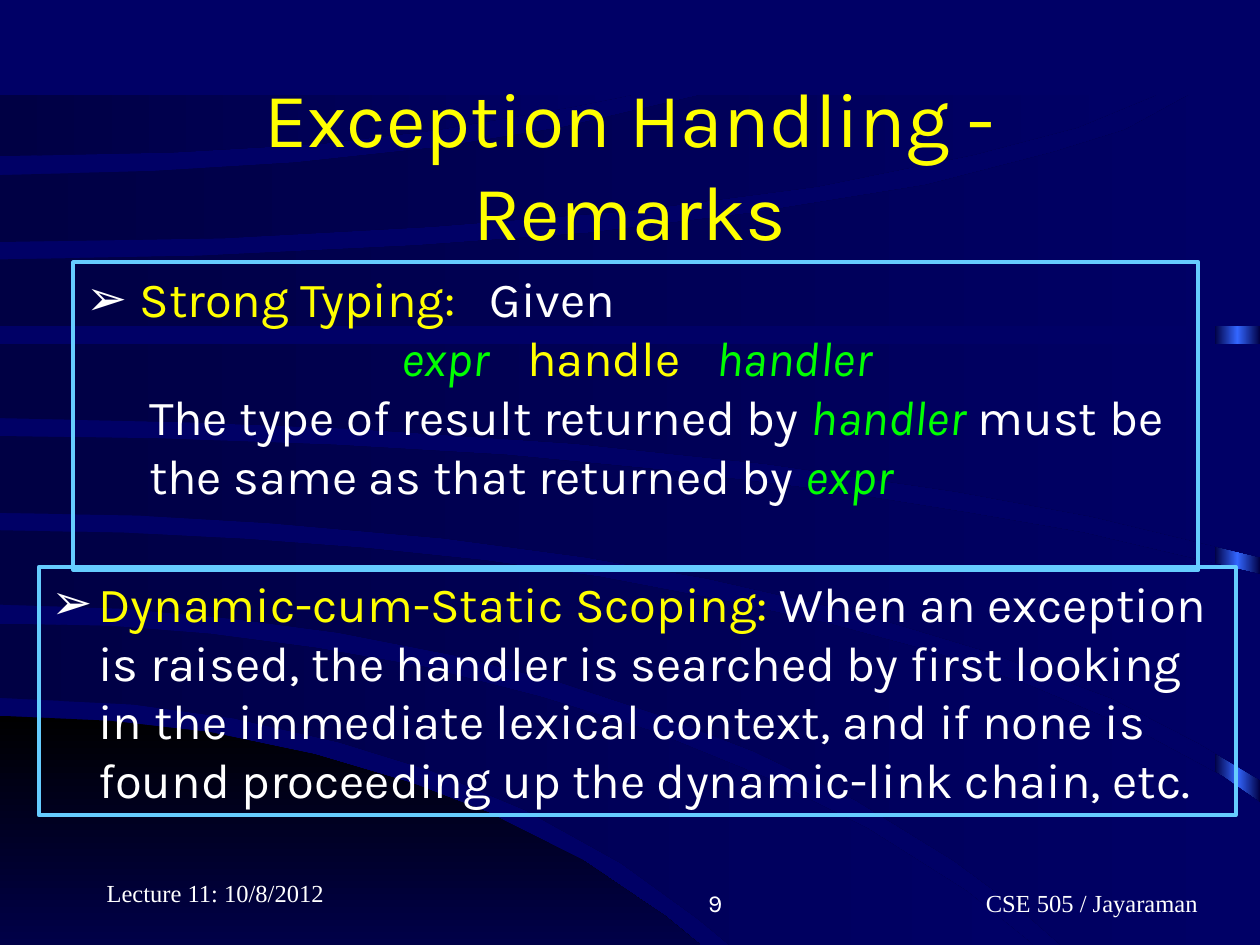
from copy import deepcopy

from lxml.etree import SubElement
from pptx import Presentation
from pptx.dml.color import RGBColor
from pptx.enum.shapes import MSO_SHAPE as Shape
from pptx.enum.text import MSO_ANCHOR as Anchor, MSO_AUTO_SIZE as AutoSize, PP_ALIGN as Align
from pptx.oxml.ns import qn
from pptx.util import Cm, Pt

WIDTH, HEIGHT = 25.4, 19.05
NAVY, DARK, BLUE, SKY = "000066", "000044", "3366FF", "66CCFF"
WHITE, YELLOW, GREEN = "FFFFFF", "FFFF00", "00FF00"

MOUND = [(0, 14.43), (2.21, 14.53), (4.22, 14.76), (6.35, 15.21), (8.33, 15.8), (9.83, 16.38),
         (11.76, 17.35), (13.44, 18.49), (14.12, HEIGHT), (0, HEIGHT)]

# Each band is its upper edge and its lower edge, both from left to right.
BANDS = [
    ([(0, 12.57), (2.24, 12.62), (4.24, 12.78), (6.35, 13.06), (8.53, 13.44), (10.9, 14.05),
      (13.11, 14.73), (15.42, 15.67), (17.5, 16.71), (19.48, 17.96), (20.83, HEIGHT)],
     [(0, 14.07), (2.69, 14.2), (4.72, 14.48), (6.83, 14.96), (8.71, 15.54), (10.59, 16.33),
      (12.52, 17.4), (14.07, 18.52), (14.71, HEIGHT)]),
    ([(0, 10.69), (2.49, 10.74), (4.98, 10.87), (7.37, 11.05), (9.78, 11.3), (12.09, 11.63),
      (14.5, 12.09), (16.69, 12.57), (18.77, 13.13), (20.8, 13.84), (22.99, 14.76),
      (24.64, 15.65), (WIDTH, 16.18)],
     [(0, 12.19), (2.49, 12.27), (4.67, 12.47), (6.81, 12.75), (9.17, 13.21), (11.25, 13.74),
      (13.26, 14.4), (15.19, 15.14), (17.25, 16.13), (19.23, 17.35), (20.6, 18.36),
      (21.39, HEIGHT), (WIDTH, HEIGHT)]),
    ([(0, 8.79), (3.18, 8.84), (6.76, 8.97), (10.19, 9.17), (13.31, 9.47), (16.84, 9.91),
      (19.53, 10.34), (21.84, 10.74), (WIDTH, 11.58)],
     [(0, 10.34), (2.79, 10.39), (5.38, 10.54), (8.94, 10.85), (11.79, 11.23), (14.25, 11.66),
      (17.37, 12.37), (19.89, 13.13), (22.4, 14.07), (24.18, 14.99), (WIDTH, 15.72)]),
    ([(0, 6.93), (WIDTH, 6.93)],
     [(0, 8.43), (3.76, 8.51), (7.09, 8.64), (11.58, 8.94), (15.44, 9.35), (19.28, 9.91),
      (22, 10.41), (WIDTH, 11.23)]),
    ([(0, 5.23), (4.01, 5.16), (8.38, 4.95), (11.84, 4.7), (15.19, 4.29), (18.67, 3.73),
      (21.23, 3.07), (22.68, 2.62), (23.98, 1.91), (WIDTH, 1.91)],
     [(0, 6.58), (WIDTH, 6.58)]),
    ([(0, 3.53), (3.1, 3.45), (5.94, 3.28), (8.84, 2.97), (11.33, 2.57), (14.15, 1.91)],
     [(0, 4.88), (4.52, 4.8), (8.69, 4.57), (12.83, 4.24), (16.48, 3.76), (19.63, 3.12),
      (21.72, 2.57), (23.32, 1.91)]),
    ([(0, 1.91), (12.75, 1.91)],
     [(0, 3.15), (3.51, 3.07), (6.45, 2.9), (8.81, 2.62), (11.51, 2.16)]),
]


def rgb(color):
    return RGBColor.from_string(color)


class SlideBuilder:
    font = "Karla"
    body_size = 28

    def __init__(self, slide):
        self.slide = slide
        slide.background.fill.solid()
        slide.background.fill.fore_color.rgb = rgb(NAVY)

    def gradient(self, sp, colors, angle=0):
        """Fill a decoration with evenly spaced colours and remove its line and shadow."""
        sp.shadow.inherit = False
        sp.line.fill.background()
        sp.fill.gradient()
        sp.fill.gradient_angle = angle
        stops = sp.fill._fill._gradFill.gsLst
        while len(stops) < len(colors):
            stops.append(deepcopy(stops[0]))
        for i, (stop, color) in enumerate(zip(sp.fill.gradient_stops, colors)):
            stop.color.rgb = rgb(color)
            stop.position = i / (len(colors) - 1)

    def stripe(self, x, y, w, h, colors):
        sp = self.slide.shapes.add_shape(Shape.RECTANGLE, Cm(x), Cm(y), Cm(w), Cm(h))
        self.gradient(sp, colors)

    def outline(self, points, colors, angle=0):
        start, *rest = [(Cm(x), Cm(y)) for x, y in points]
        builder = self.slide.shapes.build_freeform(*start)
        builder.add_line_segments(rest)
        self.gradient(builder.convert_to_shape(), colors, angle)

    def placeholder(self, index, x, y, w, h, anchor):
        """Move a placeholder to its place, in front of the decoration."""
        sp = self.slide.placeholders[index]
        self.slide.shapes._spTree.append(sp._element)
        sp.left, sp.top, sp.width, sp.height = Cm(x), Cm(y), Cm(w), Cm(h)
        sp.text_frame.auto_size = AutoSize.NONE
        sp.text_frame.vertical_anchor = anchor
        return sp

    def style(self, r, size, color, font=None, italic=False):
        r.font.name, r.font.size, r.font.italic = font or self.font, Pt(size), italic
        r.font.color.rgb = rgb(color)

    def title(self, text, *box):
        sp = self.placeholder(0, *box, Anchor.MIDDLE)
        sp.text_frame.text = text
        p = sp.text_frame.paragraphs[0]
        p.alignment = Align.CENTER
        self.style(p.runs[0], 44, YELLOW)

    def framed_list(self, index, box, paragraphs, right=0.25):
        """Each paragraph is (indent, bulleted, tab stops, runs of (text, colour))."""
        sp = self.placeholder(index, *box, Anchor.TOP)
        sp.line.color.rgb, sp.line.width = rgb(SKY), Pt(2.25)
        tf = sp.text_frame
        tf.margin_right = Cm(right)
        for i, (indent, bulleted, tabs, runs) in enumerate(paragraphs):
            p = tf.add_paragraph() if i else tf.paragraphs[0]
            self.paragraph_format(p, indent, bulleted, tabs)
            p.space_before = Pt(0)
            for text, color in runs:
                r = p.add_run()
                r.text = text
                self.style(r, self.body_size, color, italic=color == GREEN)

    def paragraph_format(self, p, indent, bulleted, tabs):
        pPr = p._p.get_or_add_pPr()
        pPr.set("marL", str(Cm(indent)))
        pPr.set("indent", str(-Cm(indent) if bulleted else 0))
        if bulleted:
            color = SubElement(pPr, qn("a:buClr"))
            SubElement(color, qn("a:srgbClr"), val=WHITE)
            SubElement(pPr, qn("a:buChar"), char="➢")
        else:
            SubElement(pPr, qn("a:buNone"))
        if tabs:
            stops = SubElement(pPr, qn("a:tabLst"))
            for tab in tabs:
                SubElement(stops, qn("a:tab"), pos=str(Cm(tab)), algn="l")

    def footer(self, text, x, y, w, align, font=None):
        sp = self.slide.shapes.add_textbox(Cm(x), Cm(y), Cm(w), Cm(1.27))
        tf = sp.text_frame
        tf.word_wrap, tf.vertical_anchor = True, Anchor.BOTTOM
        tf.text = text
        p = tf.paragraphs[0]
        p.alignment = align
        self.style(p.runs[0], 14, WHITE, font)


def main():
    prs = Presentation()
    prs.slide_width, prs.slide_height = Cm(WIDTH), Cm(HEIGHT)
    s = SlideBuilder(prs.slides.add_slide(prs.slide_layouts[3]))

    s.stripe(24.49, 1.96, 0.91, 17.09, [DARK, BLUE, DARK])
    s.outline(MOUND, ["000000", "000048"], angle=270)
    for upper, lower in BANDS:
        s.outline(upper + lower[::-1], [DARK, NAVY])

    s.title("Exception Handling - Remarks", 1.9, 1.7, 21.6, 3.18)
    s.framed_list(1, (1.48, 5.29, 22.68, 6.2), [
        (1.08, True, [8.14], [("Strong Typing:\t", YELLOW), ("Given", WHITE)]),
        (6.35, False, [8.63, 12.22],
         [("expr\t", GREEN), ("handle\t", YELLOW), ("handler", GREEN)]),
        (1.27, False, [],
         [("The type of result returned by ", WHITE), ("handler", GREEN),
          (" must be the same as that returned by ", WHITE), ("expr", GREEN)]),
    ])
    s.framed_list(2, (0.78, 11.43, 24.13, 5), [
        (0.95, True, [],
         [("Dynamic-cum-Static Scoping: ", YELLOW),
          ("When an exception is raised, the handler is searched by first looking in the "
           "immediate lexical context, and if none is found proceeding up the dynamic-link "
           "chain, etc.", WHITE)]),
    ], right=0.5)

    s.footer("Lecture 11: 10/8/2012", 1.9, 17.15, 5.3, Align.LEFT, "Times New Roman")
    s.footer("9", 9.53, 17.35, 5.28, Align.RIGHT)
    s.footer("CSE 505 / Jayaraman", 16.71, 17.35, 7.69, Align.RIGHT, "Times New Roman")
    prs.save("out.pptx")


if __name__ == "__main__":
    main()
